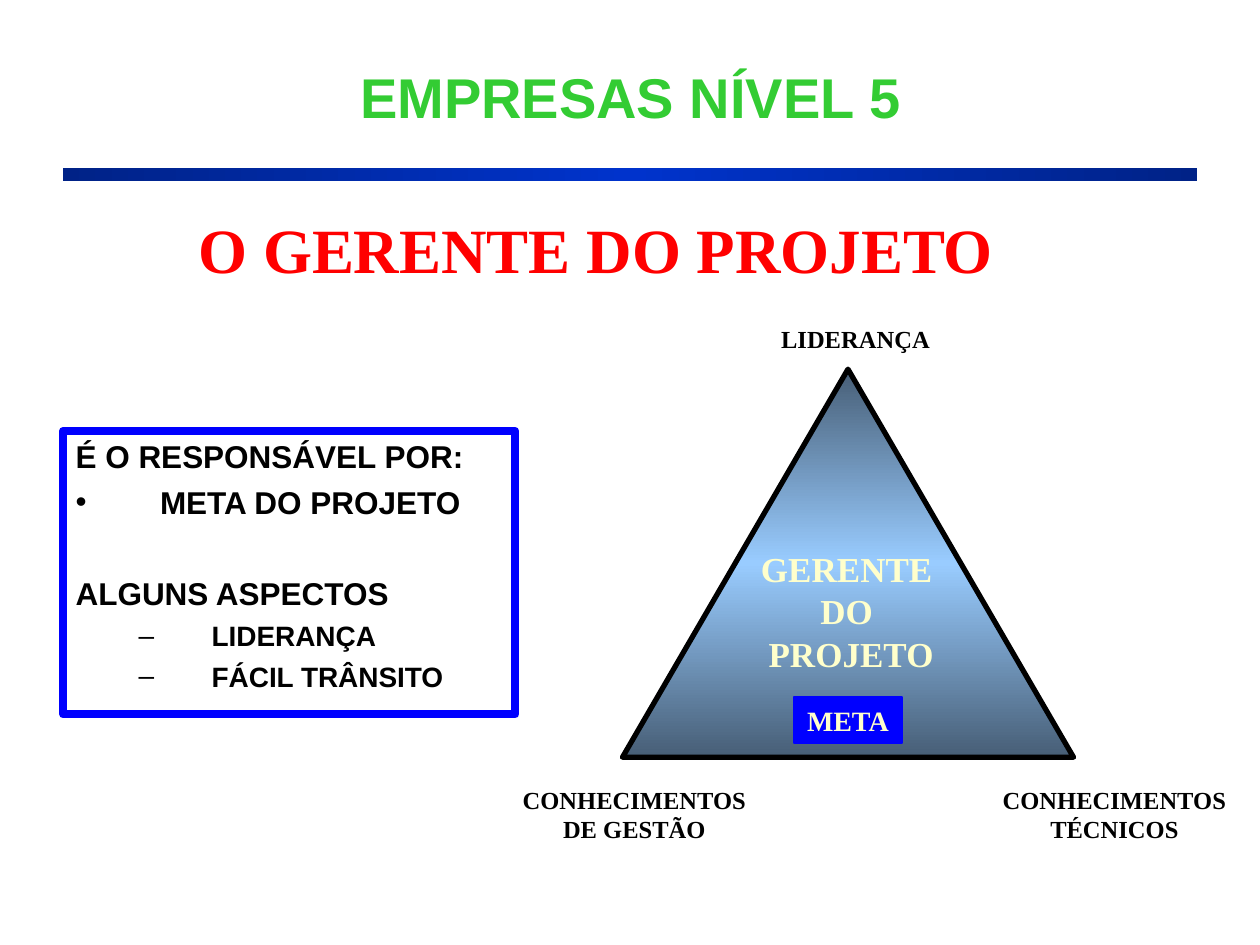
import copy
import pptx
import pptx.dml.color
import pptx.enum.shapes
import pptx.enum.text
import pptx.oxml
import pptx.oxml.ns
import pptx.util

Inches = pptx.util.Inches
Pt = pptx.util.Pt
RGBColor = pptx.dml.color.RGBColor
Shape = pptx.enum.shapes.MSO_SHAPE
Align = pptx.enum.text.PP_ALIGN
Anchor = pptx.enum.text.MSO_ANCHOR
qn = pptx.oxml.ns.qn

BLACK = RGBColor(0, 0, 0)
GREEN = RGBColor(0x33, 0xCC, 0x33)
RED = RGBColor(0xFF, 0, 0)
BLUE = RGBColor(0, 0, 0xFF)
CREAM = RGBColor(0xFF, 0xFF, 0xCC)
NAVY = RGBColor(0, 0x22, 0x87)
ROYAL = RGBColor(0, 0x33, 0xCC)
SLATE = RGBColor(0x47, 0x5E, 0x76)
SKY = RGBColor(0x99, 0xCC, 0xFF)
SERIF = "Times New Roman"
SANS = "Arial"

TITLE = "EMPRESAS NÍVEL 5"
DUTIES = [
    ("É O RESPONSÁVEL POR:", "head", 4.5),
    ("META DO PROJETO", "point", 4.5),
    ("ALGUNS ASPECTOS", "head", 30.5),
    ("LIDERANÇA", "aspect", 4),
    ("FÁCIL TRÂNSITO", "aspect", 4),
]
DUTY_STYLES = {
    "head": dict(size=18, level=0, margin=0.67, hanging=0.67, bullet=None),
    "point": dict(size=18, level=0, margin=0.67, hanging=0.67, bullet="•"),
    "aspect": dict(size=16, level=1, margin=1.08, hanging=0.58, bullet="–"),
}
LABELS = [
    (["CONHECIMENTOS", "DE GESTÃO"], (4.05, 6.18, 1.97, 0.57), 14, BLACK),
    (["CONHECIMENTOS", "TÉCNICOS"], (7.86, 6.18, 1.97, 0.57), 14, BLACK),
    (["LIDERANÇA"], (6.1, 2.52, 1.38, 0.34), 14, BLACK),
    (["GERENTE ", "DO ", "PROJETO"], (5.94, 4.3, 1.63, 1.1), 20, CREAM),
    (["O GERENTE DO PROJETO"], (1.47, 1.62, 6.52, 0.7), 36, RED),
]


def place(shape, area):
    shape.left, shape.top, shape.width, shape.height = map(Inches, area)


def write(para, text, font=SERIF, size=14, color=BLACK, align=Align.CENTER, before=0):
    para.alignment = align
    para.space_before = Pt(before)
    para.line_spacing = 1.0
    span = para.add_run()
    span.text = text
    span.font.name = font
    span.font.size = Pt(size)
    span.font.bold = True
    span.font.color.rgb = color
    return span


def write_lines(frame, lines, **style):
    frame.word_wrap = False
    for index, line in enumerate(lines):
        para = frame.add_paragraph() if index else frame.paragraphs[0]
        write(para, line, **style)


def indent(para, level, margin, hanging, bullet):
    para.level = level
    settings = para._p.get_or_add_pPr()
    settings.set("marL", str(Inches(margin)))
    settings.set("indent", str(-Inches(hanging)))
    mark = settings.makeelement(qn("a:buChar" if bullet else "a:buNone"), {})
    if bullet:
        mark.set("char", bullet)
    settings.append(mark)


def add_preset(page, kind, area):
    shape = page.shapes.add_shape(kind, *map(Inches, area))
    shape.shadow.inherit = False
    return shape


def fill_gradient(shape, edge, middle, angle):
    shape.fill.gradient()
    shape.fill.gradient_angle = angle
    stop_list = shape._element.spPr.find(".//" + qn("a:gsLst"))
    stop_list.append(copy.deepcopy(stop_list[0]))
    for stop, color, position in zip(
        shape.fill.gradient_stops, (edge, middle, edge), (0, 0.5, 1)
    ):
        stop.color.rgb = color
        stop.position = position


def add_title(page):
    title = page.shapes.title
    place(title, (0.67, 0.25, 8.67, 0.83))
    title.text_frame.vertical_anchor = Anchor.BOTTOM
    span = write(title.text_frame.paragraphs[0], TITLE, font=SANS, size=32, color=GREEN)
    effects = pptx.oxml.parse_xml(
        '<a:effectLst xmlns:a="http://schemas.openxmlformats.org/drawingml/2006/main">'
        '<a:outerShdw dist="25400" dir="2700000"><a:srgbClr val="000000"/>'
        "</a:outerShdw></a:effectLst>"
    )
    span.font._element.find(qn("a:solidFill")).addnext(effects)


def add_duties(page):
    body = page.placeholders[1]
    place(body, (0.5, 3.42, 3.59, 2.25))
    body.line.color.rgb = BLUE
    body.line.width = Pt(4.5)
    frame = body.text_frame
    frame.auto_size = pptx.enum.text.MSO_AUTO_SIZE.NONE
    for index, (text, kind, before) in enumerate(DUTIES):
        style = dict(DUTY_STYLES[kind])
        para = frame.add_paragraph() if index else frame.paragraphs[0]
        write(para, text, font=SANS, size=style.pop("size"), align=Align.LEFT, before=before)
        indent(para, **style)


def main():
    deck = pptx.Presentation()
    deck.slide_width, deck.slide_height = Inches(10), Inches(7.5)
    page = deck.slides.add_slide(deck.slide_layouts[1])

    rule = add_preset(page, Shape.RECTANGLE, (0.5, 1.33, 9, 0.11))
    fill_gradient(rule, NAVY, ROYAL, 0)
    rule.line.fill.background()

    add_title(page)
    add_duties(page)

    triangle = add_preset(page, Shape.FLOWCHART_EXTRACT, (4.94, 2.93, 3.58, 3.08))
    fill_gradient(triangle, SLATE, SKY, 90)
    triangle.line.color.rgb = BLACK
    triangle.line.width = Pt(3)

    for lines, area, size, color in LABELS:
        box = page.shapes.add_textbox(*map(Inches, area))
        write_lines(box.text_frame, lines, size=size, color=color)

    goal = add_preset(page, Shape.RECTANGLE, (6.3, 5.53, 0.86, 0.37))
    goal.fill.solid()
    goal.fill.fore_color.rgb = BLUE
    goal.line.color.rgb = BLUE
    goal.line.width = Pt(1)
    write_lines(goal.text_frame, ["META"], size=16, color=CREAM)

    deck.save("out.pptx")


if __name__ == "__main__":
    main()
